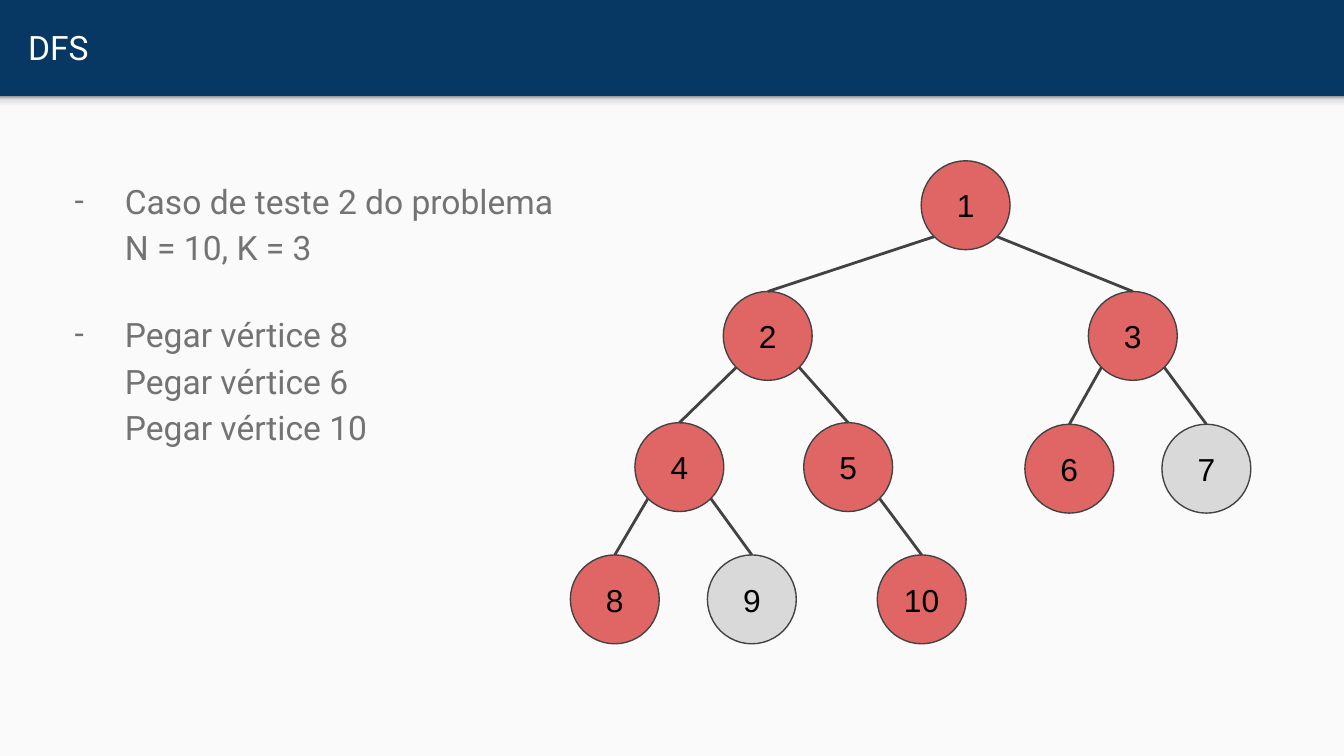
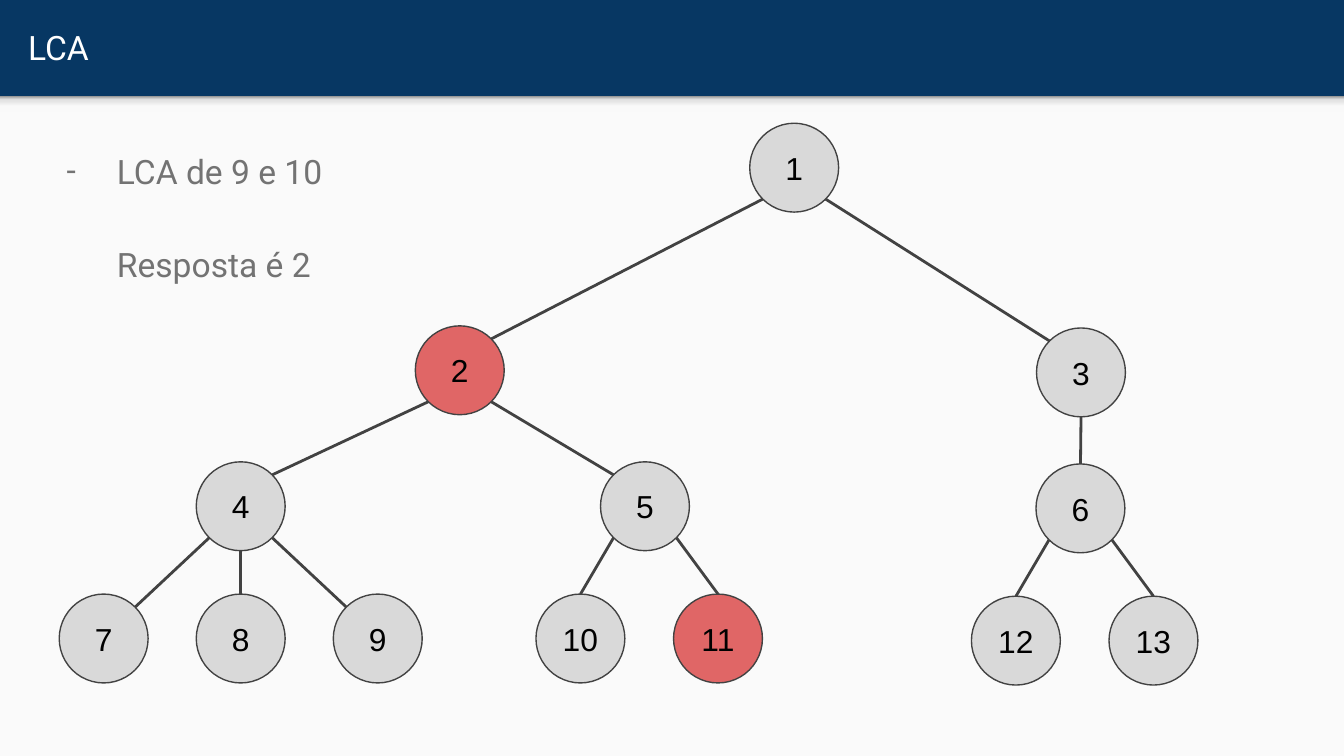
from copy import deepcopy
from math import inf, sqrt

from lxml import etree
from pptx import Presentation
from pptx.dml.color import RGBColor
from pptx.enum.shapes import MSO_CONNECTOR, MSO_SHAPE
from pptx.enum.text import MSO_ANCHOR, MSO_AUTO_SIZE, PP_ALIGN
from pptx.oxml.ns import qn
from pptx.util import Cm, Pt

STRAIGHT = MSO_CONNECTOR.STRAIGHT
OVAL, RECT = MSO_SHAPE.OVAL, MSO_SHAPE.RECTANGLE
MIDDLE, TOP = MSO_ANCHOR.MIDDLE, MSO_ANCHOR.TOP
CENTER, LEFT = PP_ALIGN.CENTER, PP_ALIGN.LEFT
NO_FIT = MSO_AUTO_SIZE.NONE

WIDTH, HEIGHT = 25.4, 14.29
BAR_HEIGHT = 1.82
NODE_SIZE = 1.68
INSET = Cm(0.25)

NAVY, PAPER, WHITE, BLACK = "073763", "FAFAFA", "FFFFFF", "000000"
GRAY, OUTLINE, PLAIN, VISITED = "737373", "424242", "D9D9D9", "E06666"
SHADE_STOPS = [(0, "F9F9F9"), (36, "F9F9F9"), (80, "DEDEDE"), (100, "999999")]

TITLE_FONT = {"name": "Roboto", "size": Pt(18), "color": WHITE}
BODY_FONT = {"name": "Roboto", "size": Pt(18), "color": GRAY}
NODE_FONT = {"name": "Arial", "size": Pt(17), "color": BLACK}
FRAME = {
    "margin_left": INSET, "margin_right": INSET,
    "margin_top": INSET, "margin_bottom": INSET,
    "word_wrap": True, "auto_size": NO_FIT,
}

DFS_TREE = {
    "1": (18.25, 3.88, None), "2": (14.51, 6.35, "1"), "3": (21.41, 6.35, "1"),
    "4": (12.84, 8.83, "2"), "5": (16.03, 8.83, "2"),
    "6": (20.21, 8.86, "3"), "7": (22.8, 8.86, "3"),
    "8": (11.62, 11.33, "4"), "9": (14.21, 11.33, "4"), "10": (17.42, 11.33, "5"),
}
LCA_TREE = {
    "1": (15.01, 3.17, None), "2": (8.69, 7, "1"), "3": (20.43, 7.04, "1"),
    "4": (4.55, 9.57, "2"), "5": (12.19, 9.57, "2"), "6": (20.42, 9.61, "3"),
    "7": (1.96, 12.07, "4"), "8": (4.55, 12.07, "4"), "9": (7.14, 12.07, "4"),
    "10": (10.97, 12.07, "5"), "11": (13.57, 12.07, "5"),
    "12": (19.2, 12.11, "6"), "13": (21.8, 12.11, "6"),
}


def paint(fmt, hex_color):
    if hasattr(fmt, "solid"):
        fmt.solid()
        fmt = fmt.fore_color
    fmt.rgb = RGBColor.from_string(hex_color)


def set_all(obj, values):
    for name, value in values.items():
        if name == "color":
            paint(obj.color, value)
        else:
            setattr(obj, name, value)


def place(sp, left, top, width, height):
    box = {"left": left, "top": top, "width": width, "height": height}
    set_all(sp, {name: Cm(value) for name, value in box.items()})


def add_band(slide, top, height):
    sp = slide.shapes.add_shape(RECT, 0, Cm(top), Cm(WIDTH), Cm(height))
    sp.shadow.inherit = False
    sp.line.fill.background()
    return sp


def add_shade(slide):
    sp = add_band(slide, BAR_HEIGHT, 0.3)
    sp.fill.gradient()
    sp.fill.gradient_angle = 90
    stops = next(sp.element.iter(qn("a:gsLst")))
    for stop in list(stops):
        stops.remove(stop)
    for percent, hex_color in SHADE_STOPS:
        stop = etree.SubElement(stops, qn("a:gs"), pos=str(percent * 1000))
        etree.SubElement(stop, qn("a:srgbClr"), val=hex_color)
    return sp


def style_layout(layout, slide):
    paint(layout.background.fill, NAVY)
    panel = add_band(slide, BAR_HEIGHT, HEIGHT - BAR_HEIGHT)
    paint(panel.fill, PAPER)
    for index, sp in enumerate([panel, add_shade(slide)], 2):
        layout.shapes.element.insert(index, sp.element)


def set_title(slide, text):
    sp = slide.shapes.title
    place(sp, 0.28, 0.05, 24.51, 1.68)
    tf = sp.text_frame
    set_all(tf, {**FRAME, "vertical_anchor": MIDDLE})
    p = tf.paragraphs[0]
    p.alignment = LEFT
    r = p.add_run()
    r.text = text
    set_all(r.font, TITLE_FONT)


def set_bullet(p, dash):
    pPr = p._p.get_or_add_pPr()
    pPr.set("marL", str(Cm(1.27)))
    pPr.set("indent", str(-Cm(0.95) if dash else 0))
    if not dash:
        etree.SubElement(pPr, qn("a:buNone"))
        return
    bu_color = etree.SubElement(pPr, qn("a:buClr"))
    etree.SubElement(bu_color, qn("a:srgbClr"), val=GRAY)
    etree.SubElement(pPr, qn("a:buFont"), typeface="Roboto")
    etree.SubElement(pPr, qn("a:buChar"), char="-")


def set_body(slide, box, items, gap):
    sp = slide.placeholders[1]
    place(sp, *box)
    tf = sp.text_frame
    set_all(tf, {**FRAME, "vertical_anchor": TOP})
    for i, (dash, lines) in enumerate(items):
        p = tf.add_paragraph() if i else tf.paragraphs[0]
        set_all(p, {"line_spacing": 1.15, "space_before": Pt(gap if i else 0),
                    "space_after": Pt(0), "alignment": LEFT})
        set_bullet(p, dash)
        for j, line in enumerate(lines):
            if j:
                p.add_line_break()
            r = p.add_run()
            r.text = line
            set_all(r.font, BODY_FONT)
        for br in p._p.findall(qn("a:br")):
            br.append(deepcopy(r._r.rPr))


def add_node(slide, label, x, y, fill):
    half = NODE_SIZE / 2
    sp = slide.shapes.add_shape(OVAL, Cm(x - half), Cm(y - half), Cm(NODE_SIZE), Cm(NODE_SIZE))
    sp.shadow.inherit = False
    paint(sp.fill, fill)
    set_all(sp.line, {"color": OUTLINE, "width": Pt(0.75)})
    tf = sp.text_frame
    set_all(tf, {**FRAME, "vertical_anchor": MIDDLE, "word_wrap": False})
    p = tf.paragraphs[0]
    p.alignment = CENTER
    r = p.add_run()
    r.text = label
    set_all(r.font, NODE_FONT)


def rim_point(x, y, side, down):
    radius = NODE_SIZE / 2
    reach = radius / sqrt(2) if side else radius
    return Cm(x + side * reach), Cm(y + down * reach)


def add_edge(slide, parent, child, corner_from):
    gap = child[0] - parent[0]
    side = 0 if abs(gap) < 0.1 else (1 if gap > 0 else -1)
    child_side = -side if abs(gap) >= corner_from else 0
    start = rim_point(*parent, side, 1)
    end = rim_point(*child, child_side, -1)
    line = slide.shapes.add_connector(STRAIGHT, *start, *end)
    set_all(line.line, {"color": OUTLINE, "width": Pt(1.5)})
    etree.SubElement(line.element.spPr, qn("a:effectLst"))


def add_tree(slide, tree, visited, corner_from=inf):
    for label, (x, y, parent) in tree.items():
        add_node(slide, label, x, y, VISITED if label in visited else PLAIN)
        if parent:
            add_edge(slide, tree[parent][:2], (x, y), corner_from)


def main():
    prs = Presentation()
    prs.slide_width, prs.slide_height = Cm(WIDTH), Cm(HEIGHT)
    layout = prs.slide_layouts[1]

    dfs = prs.slides.add_slide(layout)
    style_layout(layout, dfs)
    set_title(dfs, "DFS")
    set_body(dfs, (0.84, 3.05, 10.74, 10.62), [
        (True, ["Caso de teste 2 do problema", "N = 10, K = 3"]),
        (True, ["Pegar vértice 8", "Pegar vértice 6", "Pegar vértice 10"]),
    ], gap=22)
    add_tree(dfs, DFS_TREE, set(DFS_TREE) - {"7", "9"})

    lca = prs.slides.add_slide(layout)
    set_title(lca, "LCA")
    set_body(lca, (0.69, 2.49, 11.28, 4.47), [
        (True, ["LCA de 9 e 10"]),
        (False, ["Resposta é 2"]),
    ], gap=25)
    add_tree(lca, LCA_TREE, {"2", "11"}, corner_from=2)

    prs.save("out.pptx")


if __name__ == "__main__":
    main()
